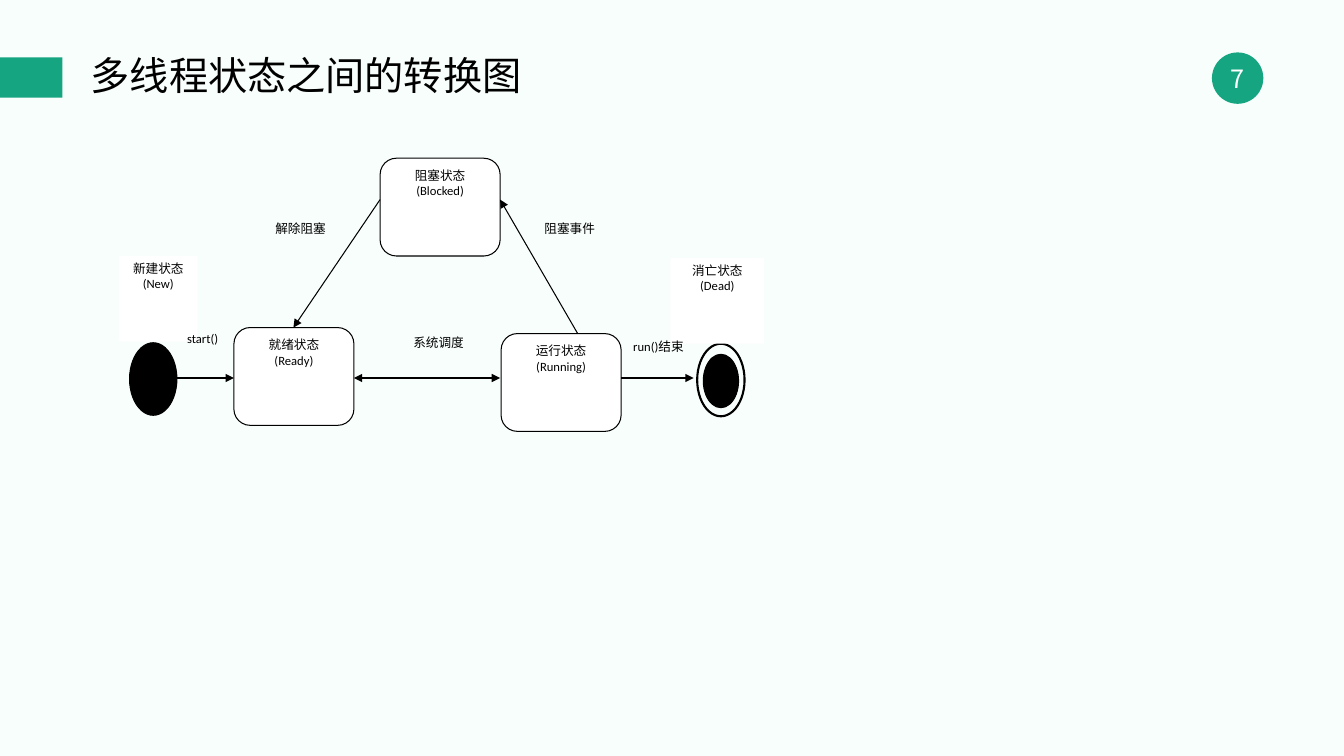
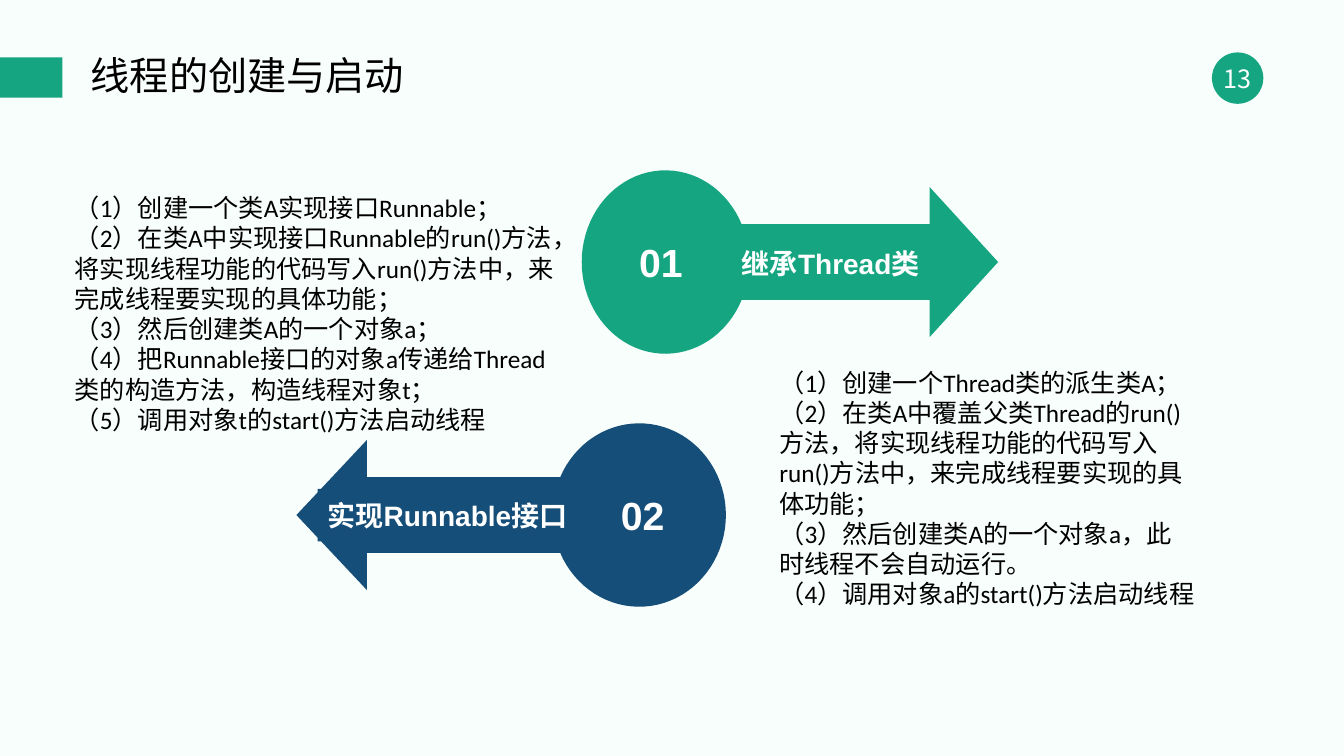
from math import asin, cos, pi, sin
from lxml import etree
from pptx import Presentation
from pptx.dml.color import RGBColor
from pptx.enum.shapes import MSO_CONNECTOR, MSO_SHAPE
from pptx.enum.text import MSO_ANCHOR, MSO_AUTO_SIZE, PP_ALIGN
from pptx.oxml.ns import qn
from pptx.util import Inches, Pt

RECT, ROUND, OVAL = MSO_SHAPE.RECTANGLE, MSO_SHAPE.ROUNDED_RECTANGLE, MSO_SHAPE.OVAL
LEFT, CENTER = PP_ALIGN.LEFT, PP_ALIGN.CENTER
TOP, MIDDLE = MSO_ANCHOR.TOP, MSO_ANCHOR.MIDDLE
COLORS = {"page": "F8FEFC", "green": "15A681", "blue": "154E79",
          "white": "FFFFFF", "black": "000000"}
CJK, LATIN, BOLD_FONT = "Noto Sans CJK SC", "Calibri", "Arial"
TITLE_ONLY, TWO_CONTENT = 5, 3

# State diagram: left, top, lines of text
STATE_W, STATE_H = 1.19, 0.97
STATES = [
    (2.32, 3.25, ["就绪状态", "(Ready)"]),
    (3.77, 1.57, ["阻塞状态", "(Blocked)"]),
    (4.97, 3.31, ["运行状态", "(Running)"]),
]
# End states: left, top, width, lines of text
END_H = 0.85
END_STATES = [
    (1.18, 2.54, 0.78, ["新建状态", "(New)"]),
    (6.65, 2.56, 0.93, ["消亡状态", "(Dead)"]),
]
# Start and end marks: centre x, centre y, width, height, fill, line width
MARKS = [
    (1.52, 3.76, 0.47, 0.72, "black", 0.75),
    (7.15, 3.77, 0.47, 0.72, None, 1.5),
    (7.15, 3.78, 0.35, 0.53, "black", 0.75),
]
FLOW_Y = 3.75
# Arrows: from, to, arrowhead at both ends
ARROWS = [
    ((1.75, FLOW_Y), (2.32, FLOW_Y), False),
    ((3.77, 1.98), (2.91, 3.25), False),
    ((5.73, 3.31), (4.96, 1.98), False),
    ((6.16, FLOW_Y), (6.88, FLOW_Y), False),
    ((3.51, FLOW_Y), (4.96, FLOW_Y), True),
]
# Transition labels: centre x, top, text
LABEL_W, LABEL_H = 0.78, 0.6
LABELS = [
    (2.01, 3.23, "start()"),
    (4.35, 3.27, "系统调度"),
    (5.65, 2.14, "阻塞事件"),
    (2.98, 2.14, "解除阻塞"),
    (6.53, 3.31, "run()结束"),
]

# Lists of steps: box, paragraphs
STEPS = [
    ((0.64, 1.86, 5.07, 2.52), [
        "（1）创建一个类A实现接口Runnable；",
        "（2）在类A中实现接口Runnable的run()方法，将实现线程功能的代码写入run()方法中，来完成线程要实现的具体功能；",
        "（3）然后创建类A的一个对象a；",
        "（4）把Runnable接口的对象a传递给Thread类的构造方法，构造线程对象t；",
        "（5）调用对象t的start()方法启动线程",
    ]),
    ((7.63, 3.59, 4.33, 3.1), [
        "（1）创建一个Thread类的派生类A；",
        "（2）在类A中覆盖父类Thread的run()方法，将实现线程功能的代码写入run()方法中，来完成线程要实现的具体功能；",
        "（3）然后创建类A的一个对象a，此时线程不会自动运行。",
        "（4）调用对象a的start()方法启动线程",
    ]),
]
# Callouts: centre, radius x, head base x, tip x, colour, then (box, text, size) tags
RADIUS_Y, SHAFT, HEAD = 0.91, 0.375, 0.745
CALLOUTS = [
    ((6.6, 2.6), 0.83, 9.22, 9.9, "green",
     [((7.26, 2.35, 2.21, 0.52), "继承Thread类", 20),
      ((6.24, 2.26, 0.71, 0.67), "01", 28)]),
    ((6.34, 5.11), 0.86, 3.64, 2.94, "blue",
     [((3.15, 4.85, 2.96, 0.52), "实现Runnable接口", 20),
      ((6.06, 4.77, 0.73, 0.67), "02", 28)]),
]


def color(name):
    """Return the named colour."""
    return RGBColor.from_string(COLORS[name])


def inches(values):
    """Convert a sequence of inches to lengths."""
    return [Inches(v) for v in values]


def write(sp, lines, size, font=LATIN, ink="black", align=LEFT,
          anchor=TOP, wrap=True, bold=False):
    """Write one paragraph per line and return the paragraphs."""
    tf = sp.text_frame
    tf.word_wrap, tf.auto_size, tf.vertical_anchor = wrap, MSO_AUTO_SIZE.NONE, anchor
    for i, line in enumerate(lines):
        p = tf.add_paragraph() if i else tf.paragraphs[0]
        p.alignment = align
        r = p.add_run()
        r.text = line
        r.font.size, r.font.name, r.font.bold = Pt(size), font, bold
        r.font.color.rgb = color(ink)
        ea = etree.SubElement(r.font._element, qn("a:ea"))
        ea.set("typeface", CJK)
    return tf.paragraphs


def paint(sp, fill=None, line=None):
    """Set fill and black outline width, without shadow."""
    sp.shadow.inherit = False
    if fill:
        sp.fill.solid()
        sp.fill.fore_color.rgb = color(fill)
    else:
        sp.fill.background()
    if line:
        sp.line.color.rgb = color("black")
        sp.line.width = Pt(line)
    else:
        sp.line.fill.background()
    return sp


def shape(s, kind, box, fill=None, line=None):
    """Add a painted preset shape."""
    return paint(s.shapes.add_shape(kind, *inches(box)), fill, line)


def place(sp, box):
    """Move and size a placeholder."""
    sp.left, sp.top, sp.width, sp.height = inches(box)


def new_slide(prs, layout, title, number):
    """Add a slide with title, green band and page number."""
    s = prs.slides.add_slide(prs.slide_layouts[layout])
    shape(s, RECT, (0, 0.57, 0.62, 0.4), "green")
    badge = shape(s, OVAL, (12.02, 0.52, 0.51, 0.51), "green")
    tf = badge.text_frame
    tf.margin_left = tf.margin_right = tf.margin_top = tf.margin_bottom = 0
    write(badge, [number], 18, CJK, "white", CENTER, MIDDLE, wrap=False)
    place(s.shapes.title, (0.8, 0.52, 7.45, 0.51))
    p = write(s.shapes.title, [title], 28, CJK, anchor=MIDDLE)[0]
    p.line_spacing = 0.9
    return s


def arrow(s, start, end, both):
    """Add a thin line with a triangle at its end, or at both ends."""
    c = s.shapes.add_connector(MSO_CONNECTOR.STRAIGHT, *inches(start + end))
    c.line.color.rgb = color("black")
    c.line.width = Pt(0.75)
    ln = c.line._get_or_add_ln()
    for tag in ["a:headEnd", "a:tailEnd"] if both else ["a:tailEnd"]:
        etree.SubElement(ln, qn(tag)).set("type", "triangle")
    etree.SubElement(c._element.spPr, qn("a:effectLst"))


def steps(sp, box, lines):
    """Fill a body placeholder with unbulleted steps."""
    place(sp, box)
    for p in write(sp, lines, 18):
        p.space_before = Pt(0)
        pPr = p._p.get_or_add_pPr()
        pPr.set("marL", "0")
        pPr.set("indent", "0")
        etree.SubElement(pPr, qn("a:buNone"))


def callout(s, center, rx, base, tip, fill, tags):
    """Draw a disc that runs into an arrow, with its text tags."""
    cx, cy = center
    side = 1 if tip > cx else -1
    start, n = asin(SHAFT / RADIUS_Y), 72
    angles = [start + (2 * pi - 2 * start) * i / n for i in range(n + 1)]
    points = [(cx + side * rx * cos(a), cy + RADIUS_Y * sin(a)) for a in angles]
    points += [(base, cy - SHAFT), (base, cy - HEAD), (tip, cy),
               (base, cy + HEAD), (base, cy + SHAFT)]
    points = [inches(pt) for pt in points]
    builder = s.shapes.build_freeform(*points[0])
    builder.add_line_segments(points[1:], close=True)
    paint(builder.convert_to_shape(), fill)
    for box, text, size in tags:
        write(shape(s, RECT, box, fill), [text], size, BOLD_FONT, "white",
              anchor=MIDDLE, bold=True)


def state_slide(prs):
    """Build the thread state diagram."""
    s = new_slide(prs, TITLE_ONLY, "多线程状态之间的转换图", "7")
    for cx, cy, w, h, fill, line in MARKS:
        shape(s, OVAL, (cx - w / 2, cy - h / 2, w, h), fill, line)
    for x, y, lines in STATES:
        sp = shape(s, ROUND, (x, y, STATE_W, STATE_H), "white", 0.75)
        write(sp, lines, 9, align=CENTER)
    for x, y, w, lines in END_STATES:
        sp = shape(s, RECT, (x, y, w, END_H), "white")
        write(sp, lines, 9, align=CENTER, wrap=False)
    for start, end, both in ARROWS:
        arrow(s, start, end, both)
    for cx, y, text in LABELS:
        box = (cx - LABEL_W / 2, y, LABEL_W, LABEL_H)
        write(s.shapes.add_textbox(*inches(box)), [text], 9, align=CENTER, wrap=False)


def creation_slide(prs):
    """Build the slide on creating and starting threads."""
    s = new_slide(prs, TWO_CONTENT, "线程的创建与启动", "13")
    bodies = [sp for sp in s.placeholders if sp.placeholder_format.idx]
    for sp, (box, lines) in zip(bodies, STEPS):
        steps(sp, box, lines)
    for item in CALLOUTS:
        callout(s, *item)


prs = Presentation()
prs.slide_width, prs.slide_height = inches((13.33, 7.5))
page = prs.slide_master.background.fill
page.solid()
page.fore_color.rgb = color("page")
state_slide(prs)
creation_slide(prs)
prs.save("out.pptx")
